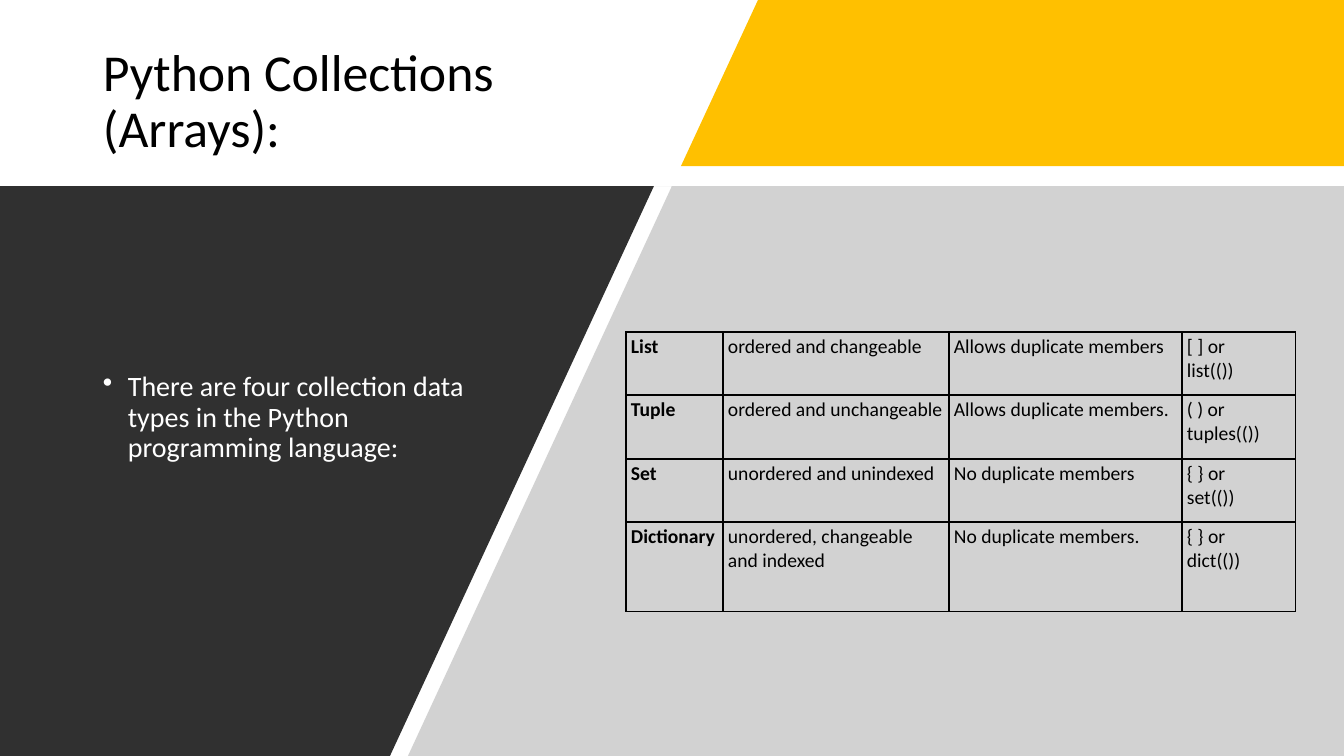
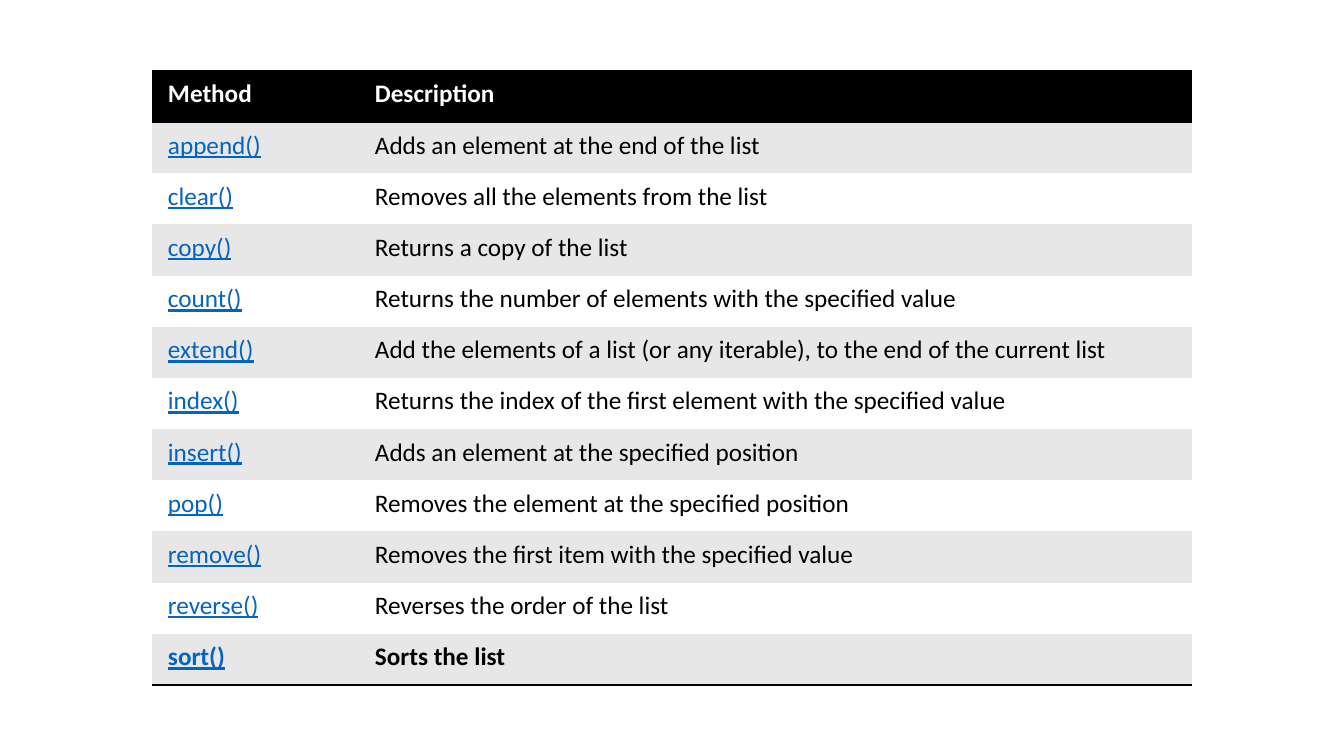
from dataclasses import dataclass

from lxml.etree import SubElement
from pptx import Presentation
from pptx.dml.color import RGBColor
from pptx.enum.text import MSO_ANCHOR as Anchor
from pptx.oxml.ns import qn
from pptx.util import Emu, Pt

SLIDE_WIDTH, SLIDE_HEIGHT = 1344, 756
EMU_PER_PIXEL = 12192000 / SLIDE_WIDTH


@dataclass(frozen=True)
class Theme:
    """Colours, font and type sizes of the deck."""
    font: str = "Calibri"
    ink: str = "000000"
    paper: str = "FFFFFF"
    accent: str = "FFC000"
    dark: str = "303030"
    grey: str = "A6A6A6"
    band: str = "E7E7E7"
    link: str = "0563C1"
    title_size: int = 37
    body_size: int = 20
    method_size: int = 18
    type_size: int = 14


THEME = Theme()

COLLECTION_TYPES = [
    ("List", "ordered and changeable", "Allows duplicate members", "[ ] or\nlist(())"),
    ("Tuple", "ordered and unchangeable", "Allows duplicate members.", "( ) or\ntuples(())"),
    ("Set", "unordered and unindexed", "No duplicate members", "{ } or\nset(())"),
    ("Dictionary", "unordered, changeable and indexed", "No duplicate members.", "{ } or\ndict(())"),
]

LIST_METHODS = [
    ("Method", "Description"),
    ("append()", "Adds an element at the end of the list"),
    ("clear()", "Removes all the elements from the list"),
    ("copy()", "Returns a copy of the list"),
    ("count()", "Returns the number of elements with the specified value"),
    ("extend()", "Add the elements of a list (or any iterable), to the end of the current list"),
    ("index()", "Returns the index of the first element with the specified value"),
    ("insert()", "Adds an element at the specified position"),
    ("pop()", "Removes the element at the specified position"),
    ("remove()", "Removes the first item with the specified value"),
    ("reverse()", "Reverses the order of the list"),
    ("sort()", "Sorts the list"),
]


def px(pixels):
    """Turn pixels into EMU."""
    return Emu(round(pixels * EMU_PER_PIXEL))


def write_text(frame, text, *, size, color=THEME.ink, bold=False, underline=False,
               line_spacing=None, space_before=None, bullet_indent=None):
    """Fill a text frame, one paragraph per line of text."""
    frame.word_wrap = True
    for index, line in enumerate(text.split("\n")):
        paragraph = frame.add_paragraph() if index else frame.paragraphs[0]
        paragraph.line_spacing = line_spacing
        paragraph.space_before = space_before
        if bullet_indent:
            properties = paragraph._p.get_or_add_pPr()
            properties.set("marL", str(px(bullet_indent)))
            properties.set("indent", str(-px(bullet_indent)))
            SubElement(properties, qn("a:buChar"), char="•")
        run = paragraph.add_run()
        run.text = line
        font = run.font
        font.name, font.size = THEME.font, Pt(size)
        font.bold, font.underline = bold, underline
        font.color.rgb = RGBColor.from_string(color)


def add_text_box(slide, box, text, extra_bottom=0, **text_format):
    """Add a wrapped, vertically centred text box."""
    frame = slide.shapes.add_textbox(*map(px, box)).text_frame
    frame.vertical_anchor = Anchor.MIDDLE
    frame.margin_bottom += px(extra_bottom)
    write_text(frame, text, **text_format)


def add_panel(slide, corners, color, opacity=100):
    """Add a filled polygon without outline."""
    start, *others = corners
    builder = slide.shapes.build_freeform(*start, scale=EMU_PER_PIXEL)
    builder.add_line_segments(others, close=True)
    panel = builder.convert_to_shape()
    panel.shadow.inherit = False
    panel.line.fill.background()
    panel.fill.solid()
    panel.fill.fore_color.rgb = RGBColor.from_string(color)
    if opacity < 100:
        tint = panel._element.spPr.find(qn("a:solidFill"))[0]
        SubElement(tint, qn("a:alpha"), val=str(opacity * 1000))


def set_borders(cell, widths):
    """Draw the left, right, top and bottom cell borders; zero hides one."""
    properties = cell._tc.get_or_add_tcPr()
    for side, width in zip("LRTB", widths):
        border = SubElement(properties, qn(f"a:ln{side}"), w=str(Pt(width)))
        if width:
            fill = SubElement(border, qn("a:solidFill"))
            SubElement(fill, qn("a:srgbClr"), val=THEME.ink)
        else:
            SubElement(border, qn("a:noFill"))


def style_cell(cell, text, *, margins, borders, fill=None, **text_format):
    """Set margins, borders, fill and text of one table cell."""
    (cell.margin_left, cell.margin_top,
     cell.margin_right, cell.margin_bottom) = map(px, margins)
    set_borders(cell, borders)
    if fill:
        cell.fill.solid()
        cell.fill.fore_color.rgb = RGBColor.from_string(fill)
    else:
        cell.fill.background()
    write_text(cell.text_frame, text, **text_format)


def add_grid(slide, left, top, widths, heights, rows, cell_style):
    """Add a table whose cells take their style from row and column."""
    table = slide.shapes.add_table(
        len(rows), len(widths), px(left), px(top), px(sum(widths)), px(sum(heights))).table
    table.first_row = table.horz_banding = False
    for column, width in zip(table.columns, widths):
        column.width = px(width)
    for row, height in zip(table.rows, heights):
        row.height = px(height)
    for r, texts in enumerate(rows):
        for c, text in enumerate(texts):
            style_cell(table.cell(r, c), text, **cell_style(r, c))


def collection_style(row, column):
    """Style a ruled cell of the collection types."""
    return dict(margins=(5, 3, 5, 3), borders=(1, 1, 1, 1),
                size=THEME.type_size, bold=column == 0)


def method_style(row, column):
    """Style a banded cell of the list methods."""
    last = len(LIST_METHODS) - 1
    ruled_edges = {0, 1, last + 1}
    header, is_name = row == 0, column == 0
    if header:
        fill, color = THEME.ink, THEME.paper
    else:
        fill = THEME.band if row % 2 else THEME.paper
        color = THEME.link if is_name else THEME.ink
    return dict(margins=(16 if is_name else 8, 8, 8, 8),
                borders=(0, 0, 2 * (row in ruled_edges), 2 * (row + 1 in ruled_edges)),
                fill=fill, color=color, size=THEME.method_size,
                bold=row in (0, last), underline=is_name and not header)


def build_collections(slide):
    """Build the overview of the four collection types."""
    band_bottom, panel_top = 166, 186
    add_text_box(slide, (93, 40, 589, 126), "Python Collections (Arrays):",
                 size=THEME.title_size, line_spacing=0.9)
    add_panel(slide, [(758, 0), (SLIDE_WIDTH, 0), (SLIDE_WIDTH, band_bottom),
                      (681, band_bottom)], THEME.accent)
    add_panel(slide, [(384, panel_top), (SLIDE_WIDTH, panel_top),
                      (SLIDE_WIDTH, SLIDE_HEIGHT), (408, SLIDE_HEIGHT),
                      (672, panel_top)], THEME.grey, opacity=50)
    add_panel(slide, [(0, panel_top), (654, panel_top), (390, SLIDE_HEIGHT),
                      (0, SLIDE_HEIGHT)], THEME.dark)
    add_text_box(slide, (93, 240, 397, 401),
                 "There are four collection data types in the Python programming language:",
                 extra_bottom=45, size=THEME.body_size, color=THEME.paper,
                 line_spacing=0.9, space_before=Pt(10), bullet_indent=25)
    add_grid(slide, 626, 332, (97, 226, 233, 114), (63, 64, 63, 90),
             COLLECTION_TYPES, collection_style)


def build_methods(slide):
    """Build the reference of list methods."""
    count = len(LIST_METHODS)
    add_grid(slide, 152, 71, (215, 825), [614 / count] * count,
             LIST_METHODS, method_style)


def main():
    """Build and save the deck."""
    deck = Presentation()
    deck.slide_width, deck.slide_height = px(SLIDE_WIDTH), px(SLIDE_HEIGHT)
    blank = deck.slide_layouts[6]
    for build in (build_collections, build_methods):
        build(deck.slides.add_slide(blank))
    deck.save("out.pptx")


main()
